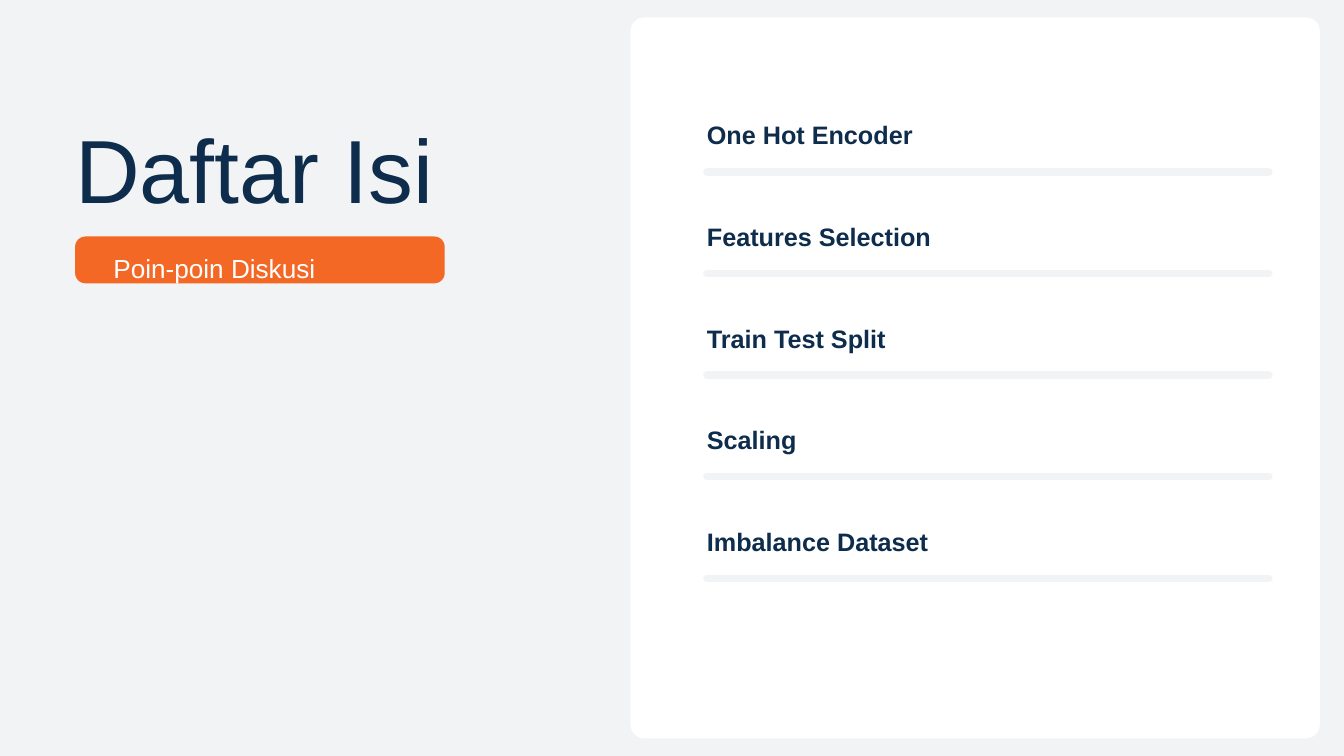
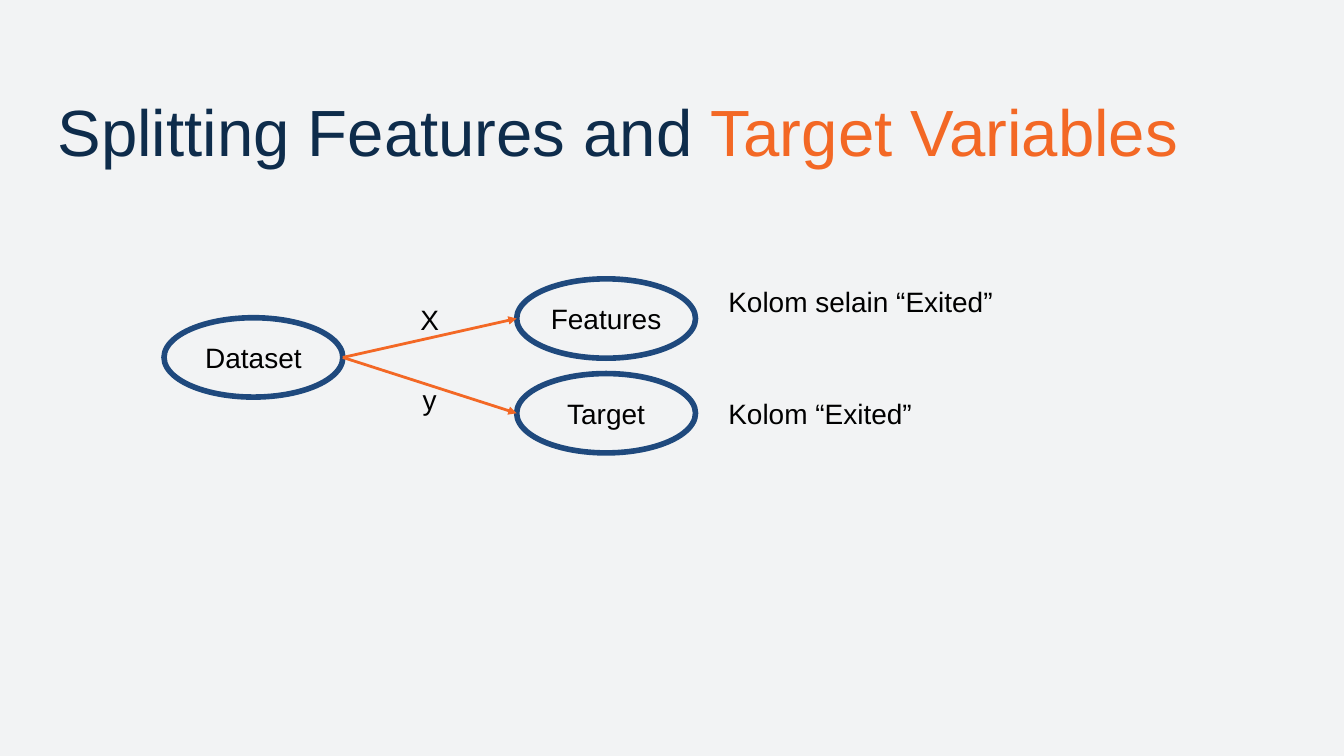
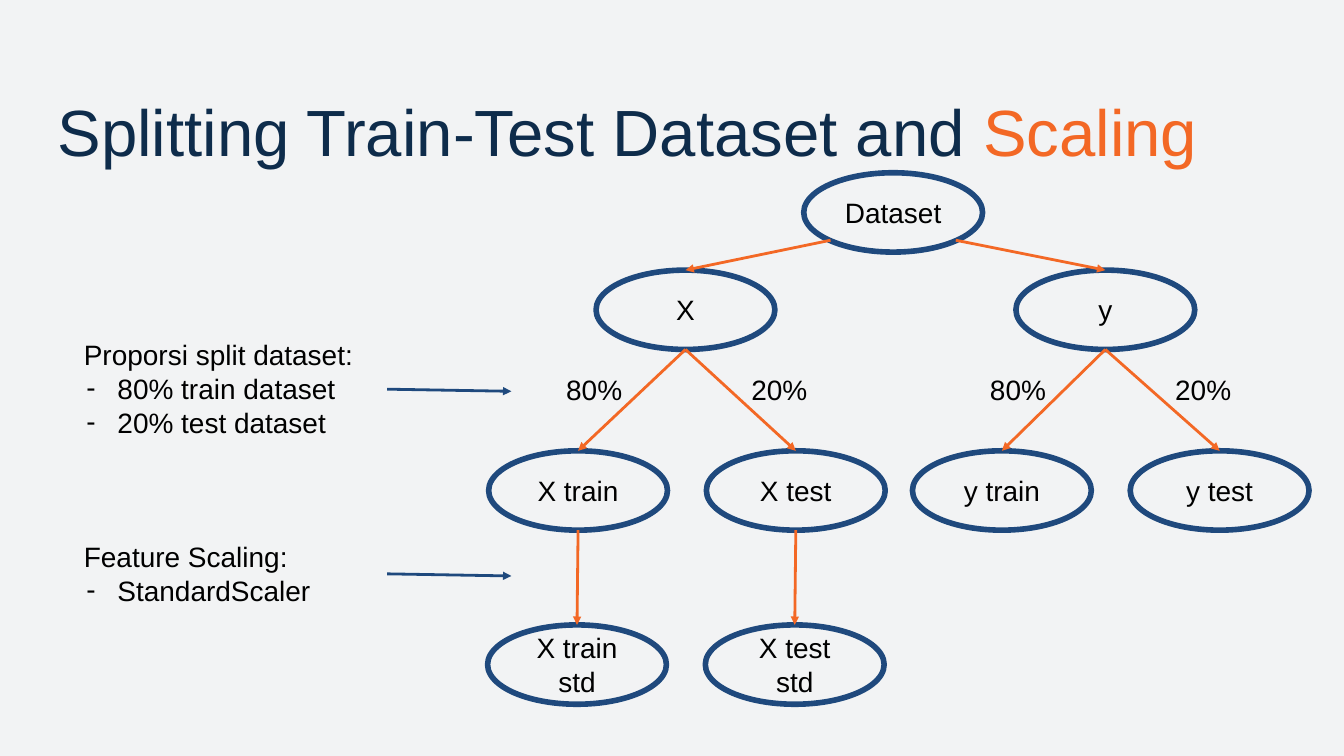
from lxml import etree
from pptx import Presentation
from pptx import util as u
from pptx.dml.color import RGBColor
from pptx.enum import shapes, text
from pptx.oxml.ns import qn

NAVY = RGBColor(0x0E, 0x2C, 0x4B)
ORANGE = RGBColor(0xF3, 0x68, 0x25)
BLUE = RGBColor(0x1F, 0x49, 0x7D)
MIST = RGBColor(0xF2, 0xF3, 0xF4)
WHITE = RGBColor(0xFF, 0xFF, 0xFF)
BLACK = RGBColor(0, 0, 0)
FONT = "Arial"
OVAL_WIDTH, OVAL_HEIGHT = 6.76, 3.0
LABEL_HEIGHT = 1.8
DIAGONAL = 0.35
TOP, LEFT, BOTTOM_LEFT, BOTTOM, BOTTOM_RIGHT, RIGHT = 0, 2, 3, 4, 5, 6
SITES = {
    TOP: (0, -0.5),
    LEFT: (-0.5, 0),
    BOTTOM_LEFT: (-DIAGONAL, DIAGONAL),
    BOTTOM: (0, 0.5),
    BOTTOM_RIGHT: (DIAGONAL, DIAGONAL),
    RIGHT: (0.5, 0),
}


def write(frame, words, *, size=30, color=BLACK, bold=False, align=None,
          spacing=None, inset=0.25, accent="", bullets=()):
    frame.word_wrap = True
    frame.margin_left = frame.margin_right = u.Cm(inset)
    frame.margin_top = frame.margin_bottom = u.Cm(inset)
    for number, line in enumerate([words, *bullets]):
        para = frame.add_paragraph() if number else frame.paragraphs[0]
        if align is not None:
            para.alignment = align
        if spacing:
            para.line_spacing = spacing
        if number:
            add_bullet(para)
        spans = [(line, color)]
        if accent and not number:
            spans.append((accent, ORANGE))
        for content, tint in spans:
            span = para.add_run()
            span.text = content
            span.font.name = FONT
            span.font.size = u.Pt(size)
            span.font.bold = bold
            span.font.color.rgb = tint


def add_bullet(para):
    properties = para._p.get_or_add_pPr()
    properties.set("marL", str(u.Cm(1.27)))
    properties.set("indent", str(u.Cm(-1.17)))
    tint = etree.SubElement(properties, qn("a:buClr"))
    etree.SubElement(tint, qn("a:srgbClr"), val=str(BLACK))
    etree.SubElement(properties, qn("a:buFont"), typeface=FONT)
    etree.SubElement(properties, qn("a:buChar"), char="-")


def site_point(oval, site):
    across, down = SITES[site]
    return (
        (oval.left + oval.width * (0.5 + across)) / u.Cm(1),
        (oval.top + oval.height * (0.5 + down)) / u.Cm(1),
    )


class Builder:
    def __init__(self):
        self.deck = Presentation()
        self.deck.slide_width = u.Cm(50.8)
        self.deck.slide_height = u.Cm(50.8 * 9 / 16)
        self.page = None

    def new_page(self):
        self.page = self.deck.slides.add_slide(self.deck.slide_layouts[6])
        fill = self.page.background.fill
        fill.solid()
        fill.fore_color.rgb = MIST

    def label(self, words, left, top, width, height=LABEL_HEIGHT, **style):
        box = self.page.shapes.add_textbox(
            u.Cm(left), u.Cm(top), u.Cm(width), u.Cm(height))
        write(box.text_frame, words, **style)
        box.text_frame.auto_size = text.MSO_AUTO_SIZE.SHAPE_TO_FIT_TEXT

    def title(self, words, accent):
        self.label(words, 2.18, 2.84, 45.77, 3, size=70, color=NAVY,
                   spacing=1.2, inset=0, accent=accent)

    def shape(self, kind, left, top, width, height):
        shape = self.page.shapes.add_shape(
            kind, u.Cm(left), u.Cm(top), u.Cm(width), u.Cm(height))
        shape.shadow.inherit = False
        return shape

    def panel(self, left, top, width, height, color, rounding):
        panel = self.shape(shapes.MSO_SHAPE.ROUNDED_RECTANGLE,
                           left, top, width, height)
        panel.adjustments[0] = rounding
        panel.fill.solid()
        panel.fill.fore_color.rgb = color
        panel.line.fill.background()

    def oval(self, words, left, top):
        oval = self.shape(shapes.MSO_SHAPE.OVAL, left, top,
                          OVAL_WIDTH, OVAL_HEIGHT)
        oval.fill.background()
        oval.line.color.rgb = BLUE
        oval.line.width = u.Pt(6)
        oval.text_frame.vertical_anchor = text.MSO_ANCHOR.MIDDLE
        write(oval.text_frame, words, align=text.PP_ALIGN.CENTER)
        return oval

    def line(self, start, end, color, width):
        line = self.page.shapes.add_connector(
            shapes.MSO_CONNECTOR.STRAIGHT, *map(u.Cm, start + end))
        line.line.color.rgb = color
        line.line.width = u.Pt(width)
        etree.SubElement(line._element.spPr, qn("a:effectLst"))
        return line

    def rule(self, left, right, top):
        rule = self.line((left, top), (right, top), MIST, 8)
        rule._element.spPr.find(qn("a:ln")).set("cap", "rnd")

    def arrow(self, start, end, color):
        arrow = self.line(start, end, color, 3)
        outline = arrow._element.spPr.find(qn("a:ln"))
        etree.SubElement(outline, qn("a:tailEnd"), type="triangle")
        return arrow

    def link(self, parent, parent_site, child, child_site=TOP):
        arrow = self.arrow(site_point(parent, parent_site),
                           site_point(child, child_site), ORANGE)
        joints = arrow._element.nvCxnSpPr.cNvCxnSpPr
        for tag, oval, site in (("a:stCxn", parent, parent_site),
                                ("a:endCxn", child, child_site)):
            etree.SubElement(joints, qn(tag), id=str(oval.shape_id),
                             idx=str(site))


def contents_page(builder):
    builder.new_page()
    builder.panel(23.83, 0.66, 26.06, 27.25, WHITE, 0.02)
    topics = ("One Hot Encoder", "Features Selection", "Train Test Split",
              "Scaling", "Imbalance Dataset")
    for row, topic in enumerate(topics):
        offset = row * 3.84
        builder.rule(26.72, 47.96, 6.5 + offset)
        builder.label(topic, 26.72, 4.07 + offset, 21.24, 1.14, size=27,
                      color=NAVY, bold=True, spacing=1.4, inset=0)
    builder.panel(2.84, 8.94, 13.97, 1.77, ORANGE, 0.22)
    builder.label("Daftar Isi", 2.84, 3.48, 17.15, 4.11, size=96,
                  color=NAVY, spacing=1.2, inset=0)
    builder.label("Poin-poin Diskusi", 4.29, 9.32, 11.63, 1.19, size=28,
                  color=WHITE, spacing=1.2, inset=0)


def features_page(builder):
    builder.new_page()
    builder.title("Splitting Features and ", "Target Variables")
    dataset = builder.oval("Dataset", 6.2, 12.01)
    branches = (
        ("Features", 10.54, "Kolom selain “Exited”", 10.49, "X", 11.18),
        ("Target", 14.12, "Kolom “Exited”", 14.73, "y", 14.2),
    )
    for name, top, columns, columns_top, symbol, symbol_top in branches:
        branch = builder.oval(name, 19.53, top)
        builder.link(dataset, RIGHT, branch, LEFT)
        builder.label(columns, 27.28, columns_top, 20.14)
        builder.label(symbol, 14.88, symbol_top, 2.72,
                      align=text.PP_ALIGN.CENTER)


def scaling_page(builder):
    builder.new_page()
    builder.title("Splitting Train-Test Dataset and ", "Scaling")
    dataset = builder.oval("Dataset", 30.38, 6.53)
    branches = (("X", 22.53, 18.47, BOTTOM_LEFT),
                ("y", 38.4, 34.49, BOTTOM_RIGHT))
    for name, left, train_left, site in branches:
        branch = builder.oval(name, left, 10.21)
        builder.link(dataset, site, branch)
        splits = (("train", "80%", 0, 2.68), ("test", "20%", 8.23, 9.68))
        for split, share, offset, share_offset in splits:
            subset = builder.oval(f"{name} {split}", train_left + offset, 17.04)
            builder.link(branch, BOTTOM, subset)
            builder.label(share, train_left + share_offset, 13.84, 2.95)
            if name == "X":
                scaled = builder.oval(f"{name} {split} std",
                                      train_left + offset - 0.04, 23.62)
                builder.link(subset, BOTTOM, scaled)
    notes = (
        ("Proporsi split dataset:", ("80% train dataset", "20% test dataset"),
         12.52, 4.37, 14.71),
        ("Feature Scaling:", ("StandardScaler",), 20.14, 3.07, 21.69),
    )
    for heading, bullets, top, height, arrow_top in notes:
        builder.label(heading, 2.92, top, 11.73, height, bullets=bullets)
        builder.arrow((14.63, arrow_top), (19.33, arrow_top + 0.08), BLUE)


def main():
    builder = Builder()
    contents_page(builder)
    features_page(builder)
    scaling_page(builder)
    builder.deck.save("out.pptx")


if __name__ == "__main__":
    main()
